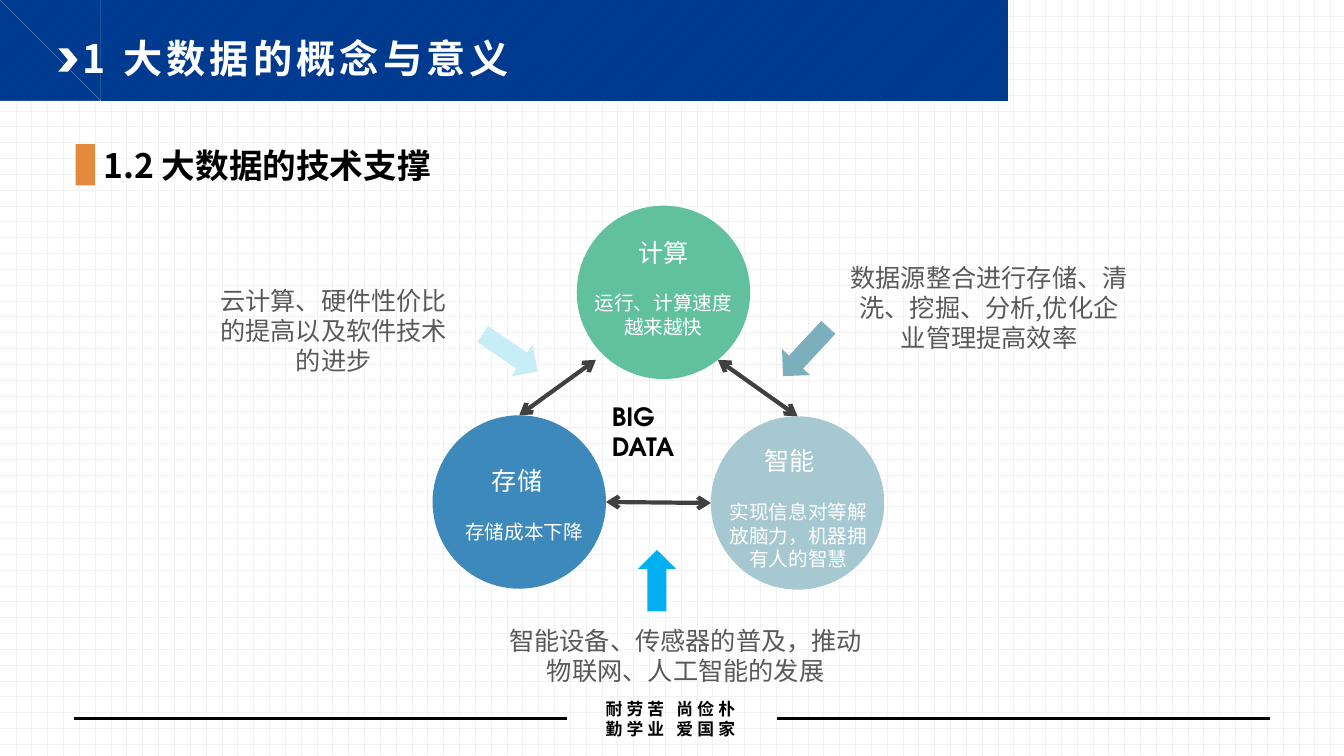
from pptx import Presentation
from pptx.dml.color import RGBColor
from pptx.enum.dml import MSO_PATTERN
from pptx.enum.shapes import MSO_CONNECTOR, MSO_SHAPE
from pptx.enum.text import MSO_ANCHOR, PP_ALIGN
from pptx.oxml.ns import qn
from pptx.util import Inches, Pt
from lxml import etree

W, H = 13.33, 7.5
CJK, LATIN = "Noto Sans CJK SC", "TeX Gyre Adventor"
LEFT, CENTER = PP_ALIGN.LEFT, PP_ALIGN.CENTER
TOP, MIDDLE = MSO_ANCHOR.TOP, MSO_ANCHOR.MIDDLE
OVAL, RECT = MSO_SHAPE.OVAL, MSO_SHAPE.RECTANGLE
CHEVRON, ARROW = MSO_SHAPE.CHEVRON, MSO_SHAPE.RIGHT_ARROW

WHITE = RGBColor(0xFF, 0xFF, 0xFF)
BLACK = RGBColor(0, 0, 0)
GRID = RGBColor(0xF2, 0xF2, 0xF2)
NAVY = RGBColor(0x00, 0x3A, 0x8F)
NAVY_STRIPE = RGBColor(0x00, 0x44, 0x9A)
ORANGE = RGBColor(0xE3, 0x89, 0x3D)
GREEN = RGBColor(0x61, 0xC0, 0x9E)
BLUE = RGBColor(0x3D, 0x89, 0xBC)
MIST = RGBColor(0xA6, 0xC8, 0xD1)
PALE = RGBColor(0xC7, 0xED, 0xF6)
TEAL = RGBColor(0x7C, 0xAF, 0xBC)
SKY = RGBColor(0x00, 0xB0, 0xF0)
GREY = RGBColor(0x59, 0x59, 0x59)
DARK = RGBColor(0x40, 0x40, 0x40)

DIAMETER = 1.72


def inches(*lengths):
    return [Inches(v) for v in lengths]


def pattern(fill, kind, fore, back):
    fill.patterned()
    fill.pattern = kind
    fill.fore_color.rgb = fore
    fill.back_color.rgb = back


def plain(sp, color):
    """Give a shape a solid fill without line or shadow."""
    sp.shadow.inherit = False
    sp.fill.solid()
    sp.fill.fore_color.rgb = color
    sp.line.fill.background()
    return sp


def add_shape(s, kind, box, color, rotation=0):
    sp = plain(s.shapes.add_shape(kind, *inches(*box)), color)
    sp.rotation = rotation
    return sp


def outline(s, *contours):
    start = contours[0][0]
    fb = s.shapes.build_freeform(*start, scale=Inches(1))
    for i, points in enumerate(contours):
        if i:
            fb.move_to(*points[0])
        fb.add_line_segments(points[1:], close=True)
    return fb.convert_to_shape()


def fill_text(sp, lines, size, color, align=CENTER, bold=False, font=CJK,
              inset=(0, 0), anchor=TOP, tracking=0, spacing=None):
    tf = sp.text_frame
    tf.word_wrap = True
    tf.vertical_anchor = anchor
    tf.margin_left = tf.margin_right = Inches(inset[0])
    tf.margin_top = tf.margin_bottom = Inches(inset[1])
    tf.text = "\n".join(lines)
    for p in tf.paragraphs:
        p.alignment = align
        p.line_spacing = spacing
        p.font.size, p.font.bold, p.font.name = Pt(size), bold, font
        p.font.color.rgb = color
        for r in p.runs:
            rPr = r.font._element
            etree.SubElement(rPr, qn("a:ea")).set("typeface", font)
            if tracking:
                rPr.set("spc", str(tracking * 100))


def add_text(s, box, lines, size, color, **style):
    fill_text(s.shapes.add_textbox(*inches(*box)), lines, size, color, **style)


def add_line(s, start, end, color, width, arrows=False):
    c = s.shapes.add_connector(MSO_CONNECTOR.STRAIGHT, *inches(*start, *end))
    c.line.color.rgb = color
    c.line.width = Pt(width)
    if arrows:
        ln = c.line._get_or_add_ln()
        for end_name in ("a:headEnd", "a:tailEnd"):
            etree.SubElement(ln, qn(end_name)).set("type", "arrow")
    etree.SubElement(c._element.spPr, qn("a:effectLst"))


def header(s, y, height, title):
    slant, low = 0.4, y + height

    def stripe(left, right):
        return [(left, y), (right, y), (right - slant, low), (left - slant, low)]

    band = outline(s, [(0, y), (10.22, y), (10.22 - slant, low), (0, low)],
                   stripe(10.26, 10.32), stripe(10.36, 10.37))
    plain(band, NAVY)
    pattern(band.fill, MSO_PATTERN.WIDE_UPWARD_DIAGONAL, NAVY_STRIPE, NAVY)

    top, mid, bottom = y + 0.19, y + 0.3, y + 0.41
    for x, thick in ((0.48, 0.02), (0.52, 0.04)):
        plain(outline(s, [(x, top), (x + thick, top), (x + thick + 0.1, mid),
                          (x + thick, bottom), (x, bottom), (x + 0.1, mid)]), WHITE)
    add_shape(s, CHEVRON, (0.58, top, 0.19, 0.23), WHITE)

    sp = s.shapes.title
    sp.left, sp.top, sp.width, sp.height = inches(0.72, y + 0.05, 8.31, 0.56)
    fill_text(sp, [title], 28, WHITE, align=LEFT, bold=True,
              inset=(0.1, 0.05), tracking=3, spacing=0.9)
    s.shapes._spTree.append(sp._element)  # bring in front of the band


def section_heading(s, x, y, text):
    add_shape(s, RECT, (x, y, 0.19, 0.41), ORANGE)
    add_text(s, (x + 0.18, y, 11.67, 0.41), [text], 24, BLACK, align=LEFT,
             bold=True, inset=(0.1, 0.05), spacing=0.9)


def footer(s, y, motto):
    for left, right in ((0.73, 5.62), (7.71, 12.6)):
        add_line(s, (left, y), (right, y), BLACK, 2)
    add_text(s, (5.61, y - 0.25, 2.08, 0.5), motto, 12, BLACK, bold=True,
             inset=(0.1, 0.05), anchor=MIDDLE, tracking=3)


def node(s, x, y, color, name, name_at, detail, detail_at):
    """Draw a circle whose two texts are centred at offsets (dx, dy) from its top middle."""
    add_shape(s, OVAL, (x, y, DIAMETER, DIAMETER), color)
    width = 1.47
    for text, (dx, dy), size in ((name, name_at, 18), (detail, detail_at, 14)):
        left = x + (DIAMETER - width) / 2 + dx
        add_text(s, (left, y + dy, width, 0.3), [text], size, WHITE)


def diagram(s):
    node(s, 7.05, 4.13, MIST, "智能", (-0.08, 0.29),
         "实现信息对等解放脑力，机器拥有人的智慧", (0.01, 0.83))
    node(s, 4.29, 4.12, BLUE, "存储", (-0.02, 0.5), "存储成本下降", (0.05, 1.04))
    node(s, 5.72, 2.04, GREEN, "计算", (0, 0.31), "运行、计算速度越来越快", (0, 0.85))

    for start, end in (((7.12, 3.57), (7.91, 4.13)),
                       ((5.91, 3.57), (5.15, 4.12)),
                       ((6.01, 4.98), (7.05, 4.99))):
        add_line(s, start, end, DARK, 3, arrows=True)

    for x, y, length, turn, color in ((4.73, 3.31, 0.66, 34.1, PALE),
                                      (7.66, 3.3, 0.66, 132.9, TEAL),
                                      (6.21, 5.57, 0.61, 270, SKY)):
        add_shape(s, ARROW, (x, y, length, 0.38), color, turn)

    for box, text in (
            ((8.41, 2.6, 2.8, 0.91), "数据源整合进行存储、清洗、挖掘、分析,优化企业管理提高效率"),
            ((2.08, 2.83, 2.46, 0.91), "云计算、硬件性价比的提高以及软件技术的进步"),
            ((4.94, 6.2, 3.72, 0.61), "智能设备、传感器的普及，推动物联网、人工智能的发展")):
        add_text(s, box, [text], 18, GREY)

    add_text(s, (5.97, 3.93, 1, 0.7), ["BIG DATA"], 18, BLACK, align=LEFT,
             bold=True, font=LATIN, inset=(0.1, 0.05))


def main():
    prs = Presentation()
    prs.slide_width, prs.slide_height = inches(W, H)
    s = prs.slides.add_slide(prs.slide_layouts[5])
    pattern(s.background.fill, MSO_PATTERN.DOTTED_GRID, GRID, WHITE)
    header(s, 0.29, 0.64, "1 大数据的概念与意义")
    footer(s, 7.13, ["耐劳苦 尚俭朴", "勤学业 爱国家"])
    section_heading(s, 0.75, 1.43, "1.2 大数据的技术支撑")
    diagram(s)
    prs.save("out.pptx")


if __name__ == "__main__":
    main()
